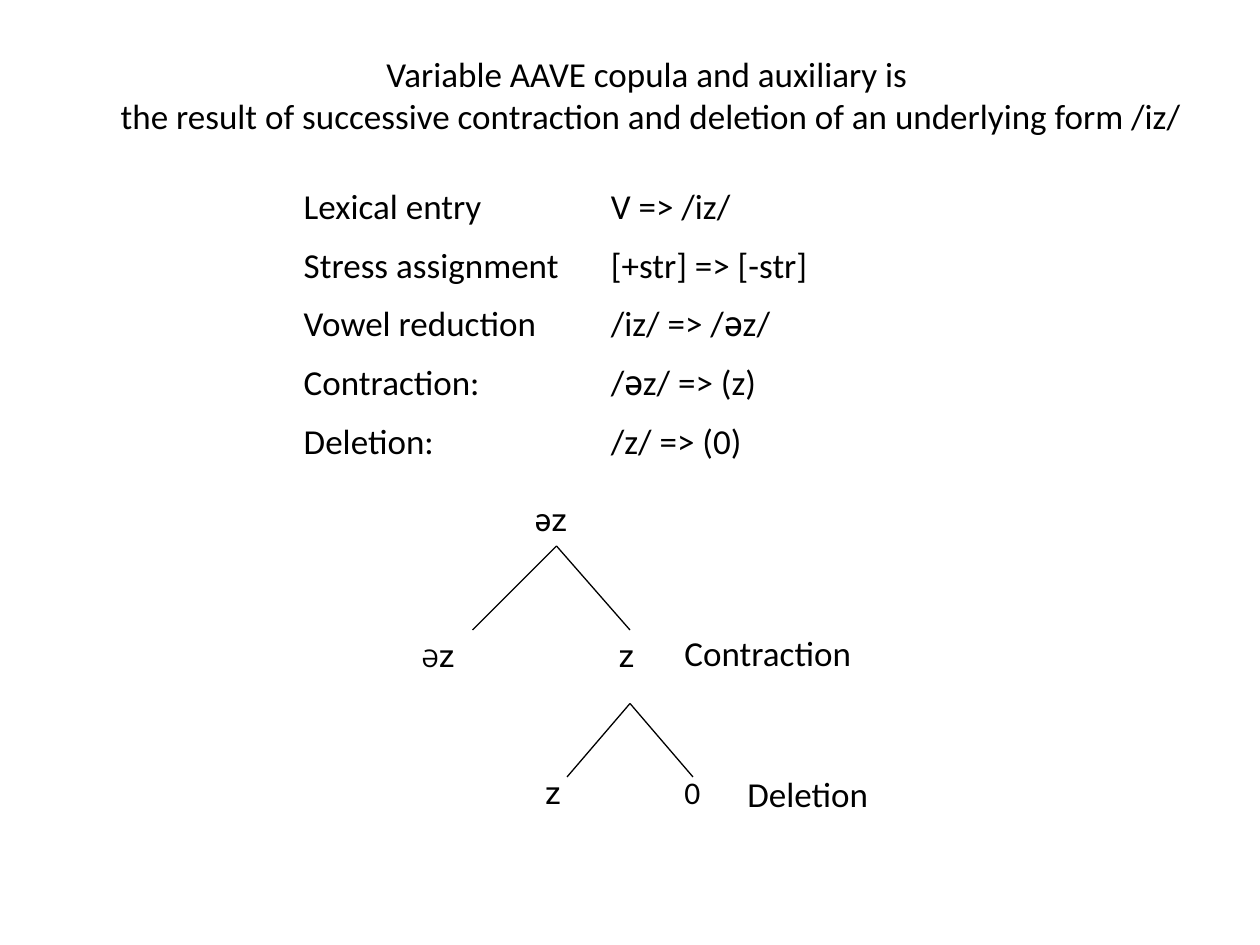
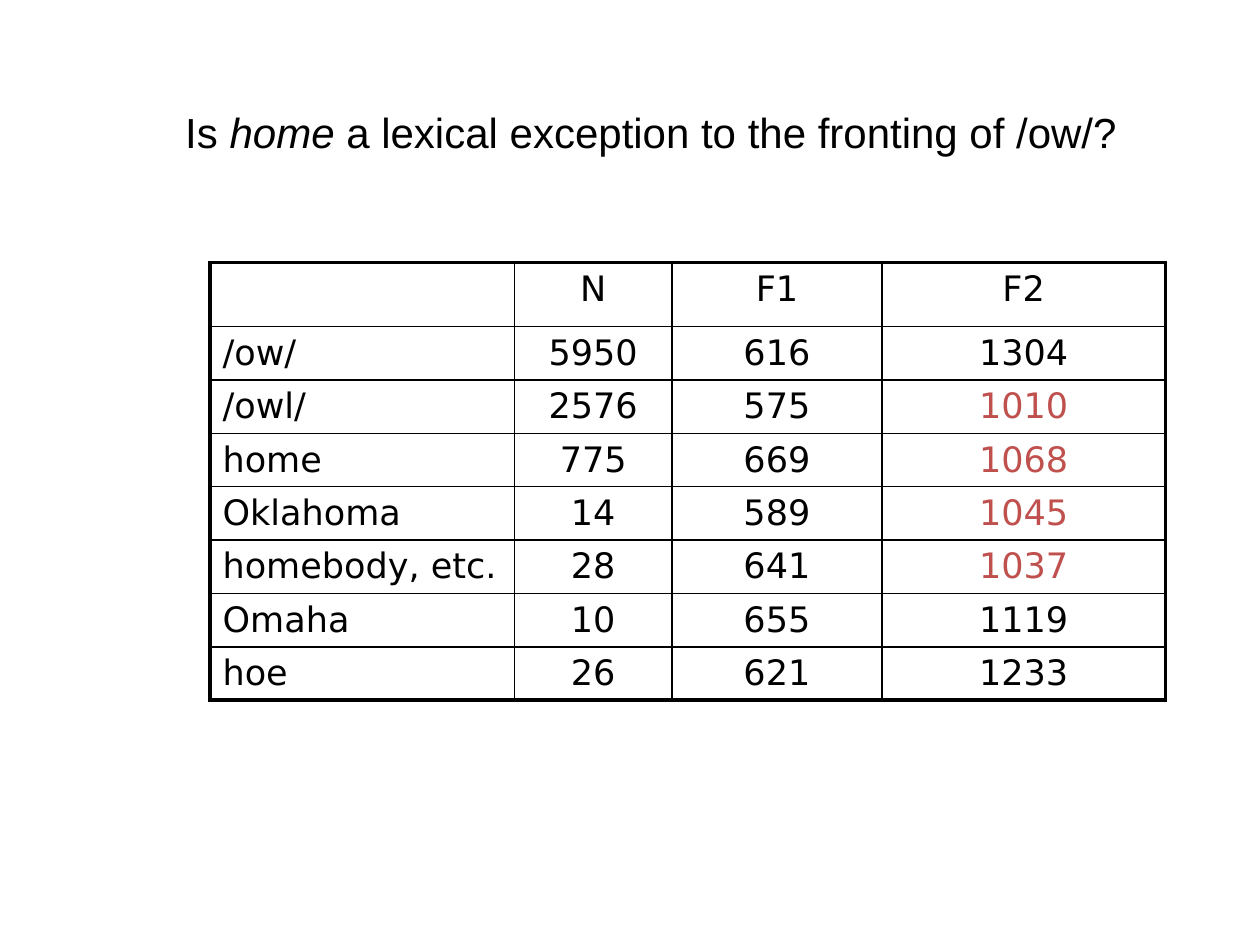
from pptx import Presentation
from pptx.dml.color import RGBColor as Rgb
from pptx.enum.shapes import MSO_CONNECTOR as Link
from pptx.enum.text import MSO_ANCHOR as Anchor, PP_ALIGN as Align
from pptx.oxml.ns import qn
from pptx.util import Inches, Pt
from lxml.etree import SubElement as Sub

BLACK = Rgb(0x00, 0x00, 0x00)
RED = Rgb(0xC0, 0x50, 0x4D)
BODY, PHONE, HEAD, DATA = "Calibri", "Roboto", "Arial", "DejaVu Sans"
WIDE, TALL = Inches(10), Inches(7.5)
COLS, ROWS = 120, 90
THIN, THICK = 1, 2.25

RULES = [
    [" Lexical entry\tV => /iz/"],
    [" Stress assignment\t[+str] => [-str]"],
    [" Vowel reduction\t/iz/ => /", ("ə", {"font": PHONE}), "z/"],
    [" Contraction:\t/", ("ə", {"font": PHONE}), "z/ => (z)"],
    [" Deletion:\t/z/ => (0)"],
]
FORMS = [
    (49, 47, [" əz"]),
    (39, 60, [("Ə", {"size": 14}), "z"]),
    (57, 60, [" z"]),
    (50, 73, [" z"]),
]
STEPS = [(64, 59.6, "Contraction"), (70, 73, "Deletion")]
FORKS = [(53, 52, 45, 60, 60), (60, 67, 54, 66, 74)]
VOWELS = [
    ("", "N", "F1", "F2"),
    ("/ow/", 5950, 616, 1304),
    ("/owl/", 2576, 575, 1010),
    ("home", 775, 669, 1068),
    ("Oklahoma", 14, 589, 1045),
    ("homebody, etc.", 28, 641, 1037),
    ("Omaha", 10, 655, 1119),
    ("hoe", 26, 621, 1233),
]
BACKED = range(2, 6)


def across(n):
    return round(WIDE * n / COLS)


def down(n):
    return round(TALL * n / ROWS)


def write(para, parts, font=BODY, size=20, color=BLACK, align=Align.LEFT):
    para.alignment = align
    for part in parts:
        if part == "\n":
            para.add_line_break()
            continue
        text, extra = part if isinstance(part, tuple) else (part, {})
        run = para.add_run()
        run.text = text
        run.font.name = extra.get("font", font)
        run.font.size = Pt(extra.get("size", size))
        run.font.italic = extra.get("italic", False)
        run.font.color.rgb = color


def place(shape, x, y, w, h):
    shape.left, shape.top = across(x), down(y)
    shape.width, shape.height = across(w), down(h)


def start(deck, parts, spot, **style):
    slide = deck.slides.add_slide(deck.slide_layouts[5])
    title = slide.shapes.title
    place(title, *spot)
    title.text_frame.vertical_anchor = Anchor.MIDDLE
    write(title.text_frame.paragraphs[0], parts, align=Align.CENTER, **style)
    return slide


def label(slide, x, y, w, h, lines, stop=None, **style):
    frame = slide.shapes.add_textbox(across(x), down(y), across(w), down(h)).text_frame
    frame.word_wrap = True
    for i, parts in enumerate(lines):
        para = frame.add_paragraph() if i else frame.paragraphs[0]
        if i:
            para.space_before = Pt(9.5)
        write(para, parts, **style)
        if stop:
            tabs = Sub(para._p.get_or_add_pPr(), qn("a:tabLst"))
            Sub(tabs, qn("a:tab"), pos=str(across(stop)), algn="l")


def fork(slide, x, y, left, right, base):
    for end in (left, right):
        line = slide.shapes.add_connector(
            Link.STRAIGHT, across(x), down(y), across(end), down(base))
        line.line.color.rgb = BLACK
        line.line.width = Pt(0.75)
        Sub(line._element.spPr, qn("a:effectLst"))


def border(cell, edges):
    props = cell._tc.get_or_add_tcPr()
    for i, (side, width) in enumerate(edges.items()):
        edge = props.makeelement(qn(f"a:ln{side}"), {"w": str(Pt(width))})
        props.insert(i, edge)
        Sub(Sub(edge, qn("a:solidFill")), qn("a:srgbClr"), val=str(BLACK))


def grid(slide, x, y, data, widths, heights):
    table = slide.shapes.add_table(
        len(heights), len(widths), across(x), down(y),
        across(sum(widths)), down(sum(heights))).table
    table.first_row = table.horz_banding = False
    for col, width in zip(table.columns, widths):
        col.width = across(width)
    for row, height in zip(table.rows, heights):
        row.height = down(height)
    last, end = len(heights) - 1, len(widths) - 1
    for r, values in enumerate(data):
        for c, value in enumerate(values):
            cell = table.cell(r, c)
            cell.fill.background()
            write(cell.text_frame.paragraphs[0], [str(value)] if value else [],
                  font=DATA, color=RED if c == end and r in BACKED else BLACK,
                  align=Align.CENTER if c else Align.LEFT)
            outer = {"L": c == 0, "R": c == end, "T": r == 0, "B": r == last}
            border(cell, {k: THICK if v else THIN for k, v in outer.items()})


def copula(deck):
    slide = start(deck, [
        "Variable AAVE copula and auxiliary is ", "\n",
        "the result of successive contraction and deletion of an underlying form /iz/",
    ], (10, 3, 104, 12))
    label(slide, 27, 17, 65, 29, RULES, stop=30)
    for x, y, form in FORMS:
        label(slide, x, y, 8, 5, [form], font=PHONE, size=18)
    label(slide, 64, 73, 6, 5, [["0"]], size=18)
    for x, y, step in STEPS:
        label(slide, x, y, 26, 5, [[step]])
    for spot in FORKS:
        fork(slide, *spot)


def fronting(deck):
    slide = start(deck, [
        "Is ", ("home ", {"italic": True}),
        "a lexical exception to the fronting of /ow/?",
    ], (11, 8, 102, 9), font=HEAD, size=24)
    grid(slide, 20, 25, VOWELS, [29, 15, 20, 27], [6.1] + [5.08] * 7)


def main():
    deck = Presentation()
    deck.slide_width, deck.slide_height = WIDE, TALL
    copula(deck)
    fronting(deck)
    deck.save("out.pptx")


if __name__ == "__main__":
    main()
